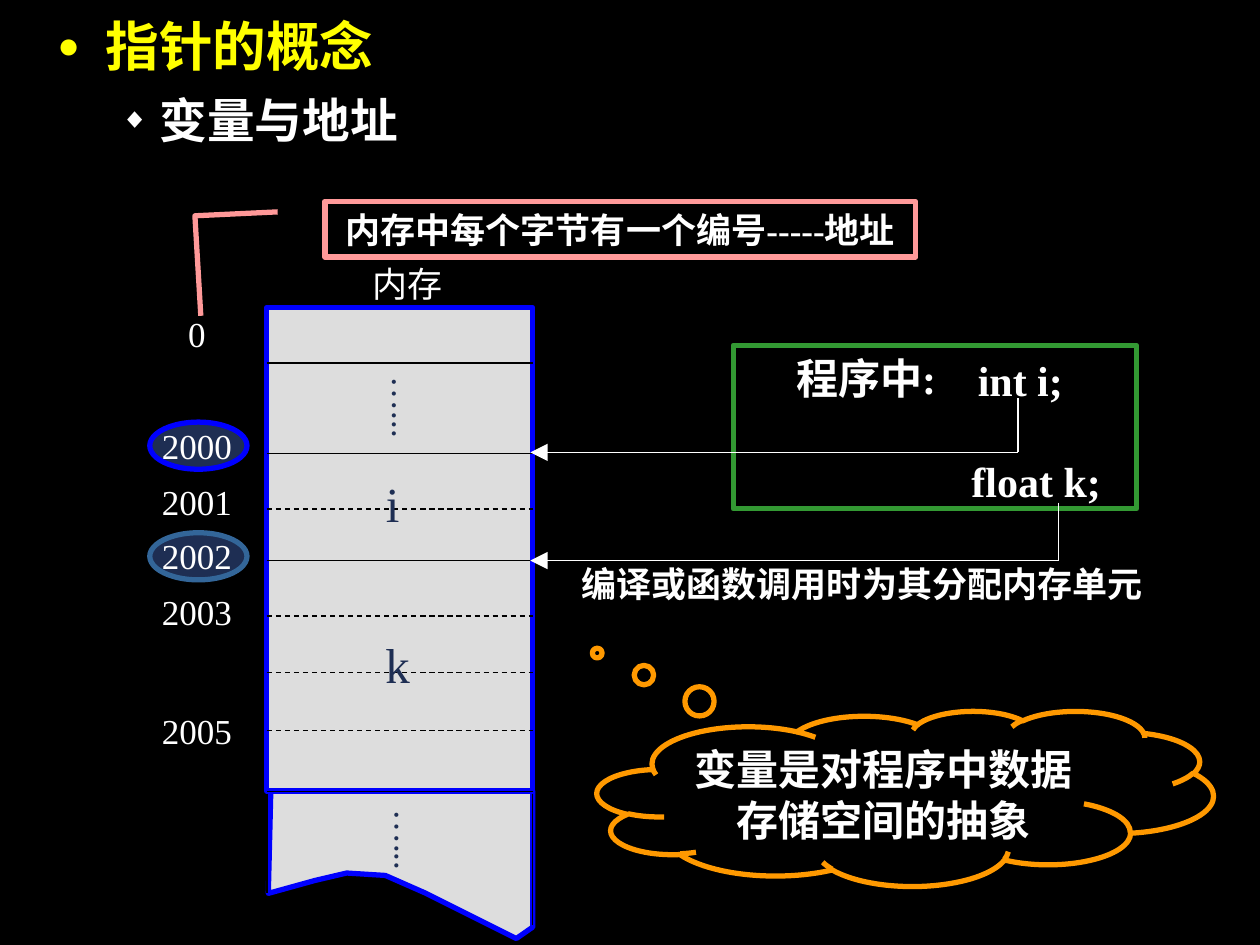
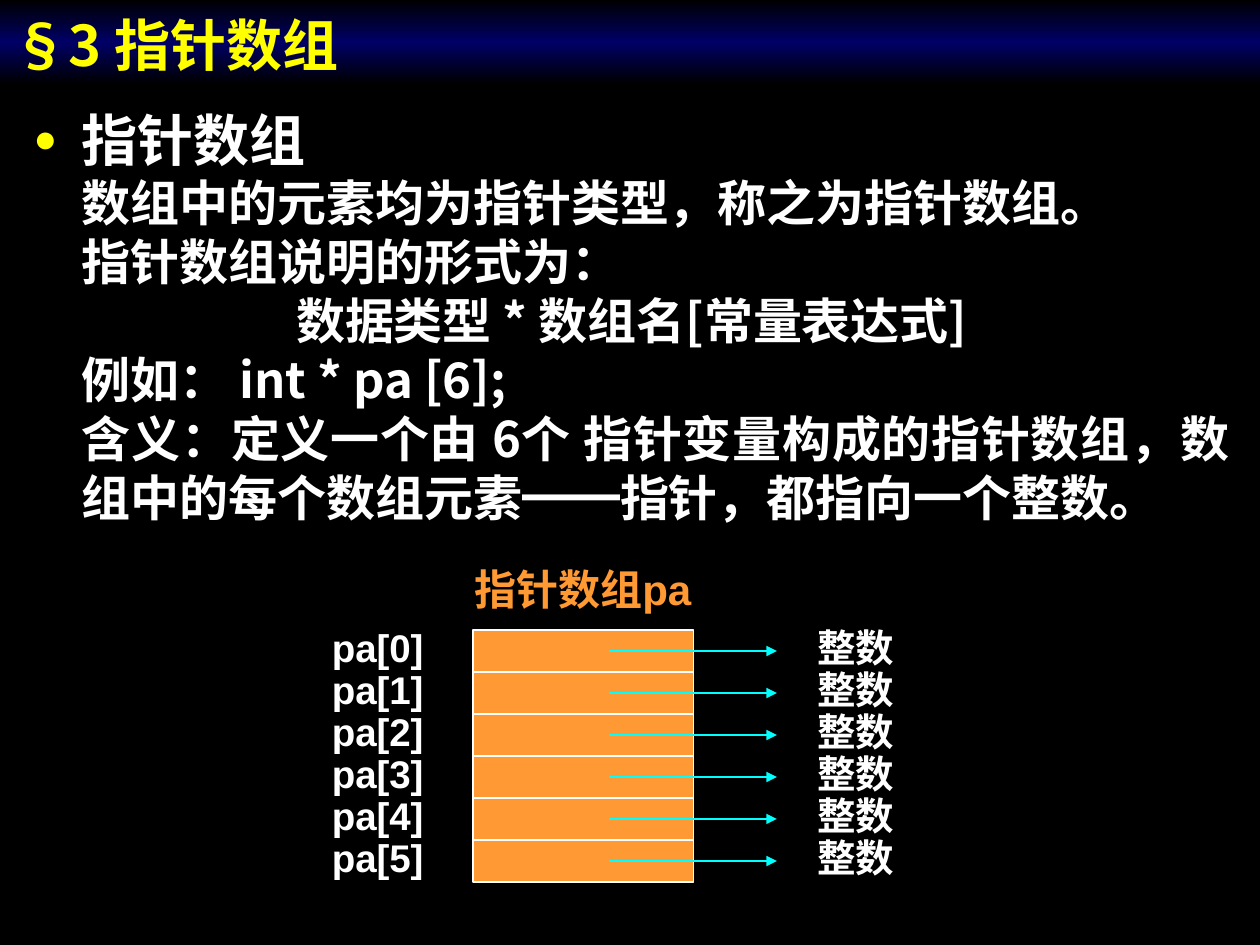
import copy

import pptx
import pptx.util
import pptx.dml.color
from lxml import etree
from pptx.enum.dml import MSO_LINE
from pptx.enum.shapes import MSO_CONNECTOR, MSO_SHAPE
from pptx.enum.text import MSO_ANCHOR, PP_ALIGN
from pptx.oxml.ns import qn

Cm = pptx.util.Cm
Pt = pptx.util.Pt

WHITE, BLACK, YELLOW = "FFFFFF", "000000", "FFFF00"
NAVY, BLUE, STEEL, GRAY = "1E2E53", "0000FF", "336699", "DDDDDD"
GREEN, PINK, GOLD, ORANGE = "339933", "FF9999", "FF9900", "FF9933"
CYAN, BAND = "00FFFF", "000066"
SANS, SERIF, HAN = "Arial", "Times New Roman", "Noto Sans CJK SC"
LEFT, MID, FULL = PP_ALIGN.LEFT, PP_ALIGN.CENTER, PP_ALIGN.JUSTIFY


def color(code):
    return pptx.dml.color.RGBColor.from_string(code)


def node(parent, tag, **attrs):
    """Append a DrawingML element to parent."""
    return etree.SubElement(parent, qn("a:" + tag), attrs)


def new_slide(deck):
    slide = deck.slides.add_slide(deck.slide_layouts[6])
    fill = slide.background.fill
    fill.solid()
    fill.fore_color.rgb = color(BLACK)
    return slide


def write(frame, text, size=20, face=SERIF, tint=WHITE, bold=False, align=MID,
          margin=0, hang=0, mark=None, marktint=YELLOW, scale=70, before=0):
    """Add one paragraph; margin and hang are in cm."""
    para = frame.paragraphs[0]
    if para.runs:
        para = frame.add_paragraph()
    props = para._p.get_or_add_pPr()
    props.set("marL", str(Cm(margin)))
    props.set("indent", str(-Cm(hang)))
    if mark:
        node(node(props, "buClr"), "srgbClr", val=marktint)
        node(props, "buSzPct", val=str(scale * 1000))
        node(props, "buFont", typeface=SANS)
        node(props, "buChar", char=mark)
    para.alignment = align
    if before:
        para.space_before = Pt(before)
    run = para.add_run()
    run.text = text
    font = run.font
    font.size, font.bold, font.name = Pt(size), bold, face
    font.color.rgb = color(tint)
    node(run._r.get_or_add_rPr(), "ea", typeface=HAN)


def set_frame(frame, wrap=False, anchor=MSO_ANCHOR.MIDDLE, side=0.25, top=0.13):
    frame.word_wrap = wrap
    frame.vertical_anchor = anchor
    frame.margin_left = frame.margin_right = Cm(side)
    frame.margin_top = frame.margin_bottom = Cm(top)
    return frame


def text_box(slide, x, y, w, h, **opts):
    box = slide.shapes.add_textbox(Cm(x), Cm(y), Cm(w), Cm(h))
    return set_frame(box.text_frame, **opts)


def label(slide, text, x, y, w, h, **style):
    write(text_box(slide, x, y, w, h, side=0), text, **style)


def paint(item, fill=None, edge=None, width=3):
    item.shadow.inherit = False
    if fill:
        item.fill.solid()
        item.fill.fore_color.rgb = color(fill)
    else:
        item.fill.background()
    if edge:
        item.line.color.rgb = color(edge)
        item.line.width = Pt(width)
    else:
        item.line.fill.background()


def shape(slide, kind, x, y, w, h, adjust=(), **look):
    item = slide.shapes.add_shape(kind, Cm(x), Cm(y), Cm(w), Cm(h))
    for index, value in enumerate(adjust):
        item.adjustments[index] = value
    paint(item, **look)
    return item


def line(slide, x1, y1, x2, y2, tint=BLACK, width=0.75, dash=False, arrow=None):
    """Draw a line; arrow is the size of its head, such as "med"."""
    item = slide.shapes.add_connector(
        MSO_CONNECTOR.STRAIGHT, Cm(x1), Cm(y1), Cm(x2), Cm(y2))
    item.line.color.rgb = color(tint)
    item.line.width = Pt(width)
    if dash:
        item.line.dash_style = MSO_LINE.DASH
    props = item._element.spPr
    if arrow:
        node(props.find(qn("a:ln")), "tailEnd", type="triangle",
             w=arrow, len=arrow)
    node(props, "effectLst")


def dots(slide, x, y):
    """Draw a vertical ellipsis."""
    frame = text_box(slide, x, y, 1.35, 1.5, side=0.13, top=0.25)
    frame._txBody.bodyPr.set("vert", "eaVert")
    write(frame, "…...", tint=NAVY)


def memory(slide):
    left, right, top, base = 5.38, 10.74, 6.2, 15.95
    edge = [(5.46, base), (right, base), (right, 18.69), (10.41, 18.92),
            (8.59, 18.01), (7.77, 17.65), (6.99, 17.6), (6.35, 17.75),
            (5.41, 18.01)]
    edge = [(Cm(x), Cm(y)) for x, y in edge]
    torn = slide.shapes.build_freeform(*edge[0])
    torn.add_line_segments(edge[1:], close=True)
    paint(torn.convert_to_shape(), fill=GRAY, edge=BLUE)
    shape(slide, MSO_SHAPE.RECTANGLE, left, top, right - left, base - top,
          fill=GRAY, edge=BLUE)
    for y in (7.32, 9.14, 11.3, base):
        line(slide, left, y, right, y)
    for y in (10.26, 12.42, 13.56, 14.73):
        line(slide, left, y, right, y, dash=True)
    line(slide, left, 16, left, 18.01)
    line(slide, right, 16, right, 18.64)
    dots(slide, 7.52, 7.35)
    dots(slide, 7.57, 16.06)
    label(slide, "内存", 7.26, 5.16, 1.9, 1.12)
    label(slide, "i", 7.52, 9.42, 0.79, 1.45, size=28, tint=NAVY)
    label(slide, "k", 7.52, 12.65, 0.99, 1.45, size=28, tint=NAVY)


def addresses(slide):
    for y, edge in ((10.74, STEEL), (8.51, BLUE)):
        shape(slide, MSO_SHAPE.OVAL, 3.02, y, 1.96, 0.95, fill=NAVY, edge=edge)
    places = {"0": 6.17, "2000": 8.43, "2001": 9.55, "2002": 10.64,
              "2003": 11.76, "2005": 14.17}
    for text, y in places.items():
        label(slide, text, 3.02, y, 1.9, 1.12)


def program(slide):
    shape(slide, MSO_SHAPE.RECTANGLE, 14.78, 6.96, 8.13, 3.3, edge=GREEN)
    code = dict(size=24, bold=True)
    label(slide, "程序中:", 15.66, 6.97, 3.6, 1.3, **code)
    label(slide, "int i;", 19.27, 7.01, 2.6, 1.3, **code)
    label(slide, "float k;", 19.09, 9.04, 3.6, 1.3, **code)
    for x, start, y in ((20.52, 8.03, 9.12), (21.34, 10.13, 11.3)):
        line(slide, x, start, x, y, tint=WHITE)
        line(slide, x, y, 10.69, y, tint=WHITE, arrow="lg")
    label(slide, "编译或函数调用时为其分配内存单元", 11.38, 11.2, 12, 1.12,
          bold=True)


def pointer_slide(deck):
    slide = new_slide(deck)
    body = text_box(slide, 0.91, 0.13, 23.7, 3.02, wrap=True,
                    anchor=MSO_ANCHOR.TOP)
    write(body, "指针的概念", size=30.6, face=SANS, tint=YELLOW, bold=True,
          align=LEFT, margin=0.97, hang=0.97, mark="●")
    write(body, "变量与地址", size=27.2, face=SANS, bold=True, align=LEFT,
          margin=2.06, hang=0.79, mark="◆", marktint=WHITE, scale=60, before=8)
    addresses(slide)
    note = shape(slide, MSO_SHAPE.LINE_CALLOUT_2, 6.55, 4.06, 11.91, 1.12,
                 adjust=(0.19, -0.08, 0.26, -0.22, 2.06, -0.21), edge=PINK)
    write(set_frame(note.text_frame), "内存中每个字节有一个编号-----地址", bold=True)
    memory(slide)
    program(slide)
    cloud = shape(slide, MSO_SHAPE.CLOUD_CALLOUT, 12.04, 14.33, 12.42, 3.53,
                  adjust=(-0.5, -0.83), edge=GOLD)
    frame = set_frame(cloud.text_frame, anchor=MSO_ANCHOR.TOP)
    for text in ("变量是对程序中数据", "存储空间的抽象"):
        write(frame, text, size=24, bold=True)


def title_band(slide, text):
    band = shape(slide, MSO_SHAPE.RECTANGLE, 0, 0, 25.4, 1.7)
    band.fill.gradient()
    band.fill.gradient_angle = 90
    first, center = band.fill.gradient_stops
    first.color.rgb, first.position = color(BLACK), 0
    center.color.rgb, center.position = color(BAND), 0.5
    stops = band._element.spPr.find(qn("a:gradFill")).find(qn("a:gsLst"))
    last = copy.deepcopy(stops[0])
    last.set("pos", "100000")
    stops.append(last)
    frame = set_frame(band.text_frame, wrap=True, anchor=MSO_ANCHOR.BOTTOM)
    write(frame, text, size=32, face=HAN, tint=YELLOW, bold=True, align=LEFT)


def pointer_cells(slide):
    top, step = 12.7, 5.08 / 6
    style = dict(size=22, face=SANS, bold=True)
    for index in range(6):
        y = top + index * step
        shape(slide, MSO_SHAPE.RECTANGLE, 9.53, y, 4.45, step,
              fill=ORANGE, edge=WHITE, width=1)
        label(slide, f"pa[{index}]", 5.92, y - 0.08, 3.39, step, **style)
        label(slide, "整数", 15.88, y - 0.08, 2.74, step, **style)
        line(slide, 12.28, y + step / 2, 15.66, y + step / 2,
             tint=CYAN, width=1, arrow="med")
    label(slide, "指针数组pa", 9, 11.23, 5.5, 1.27, size=24, face=SANS,
          tint=ORANGE, bold=True)


def array_slide(deck):
    slide = new_slide(deck)
    body = text_box(slide, 0.43, 2, 24.61, 9.32, wrap=True,
                    anchor=MSO_ANCHOR.TOP)
    write(body, "指针数组", size=32, face=HAN, bold=True, align=FULL,
          margin=0.97, hang=0.97, mark="●")
    for text, align, margin in (
            ("数组中的元素均为指针类型，称之为指针数组。", FULL, 0.97),
            ("指针数组说明的形式为：", FULL, 0.97),
            ("数据类型 * 数组名[常量表达式]", MID, 0),
            ("例如： int * pa [6];", FULL, 0.97),
            ("含义：定义一个由 6个 指针变量构成的指针数组，"
             "数组中的每个数组元素━━指针，都指向一个整数。", FULL, 0.97)):
        write(body, text, size=28, face=HAN, bold=True, align=align,
              margin=margin)
    title_band(slide, "§3 指针数组")
    pointer_cells(slide)


def main():
    deck = pptx.Presentation()
    deck.slide_width, deck.slide_height = Cm(25.4), Cm(19.05)
    pointer_slide(deck)
    array_slide(deck)
    deck.save("out.pptx")


if __name__ == "__main__":
    main()
